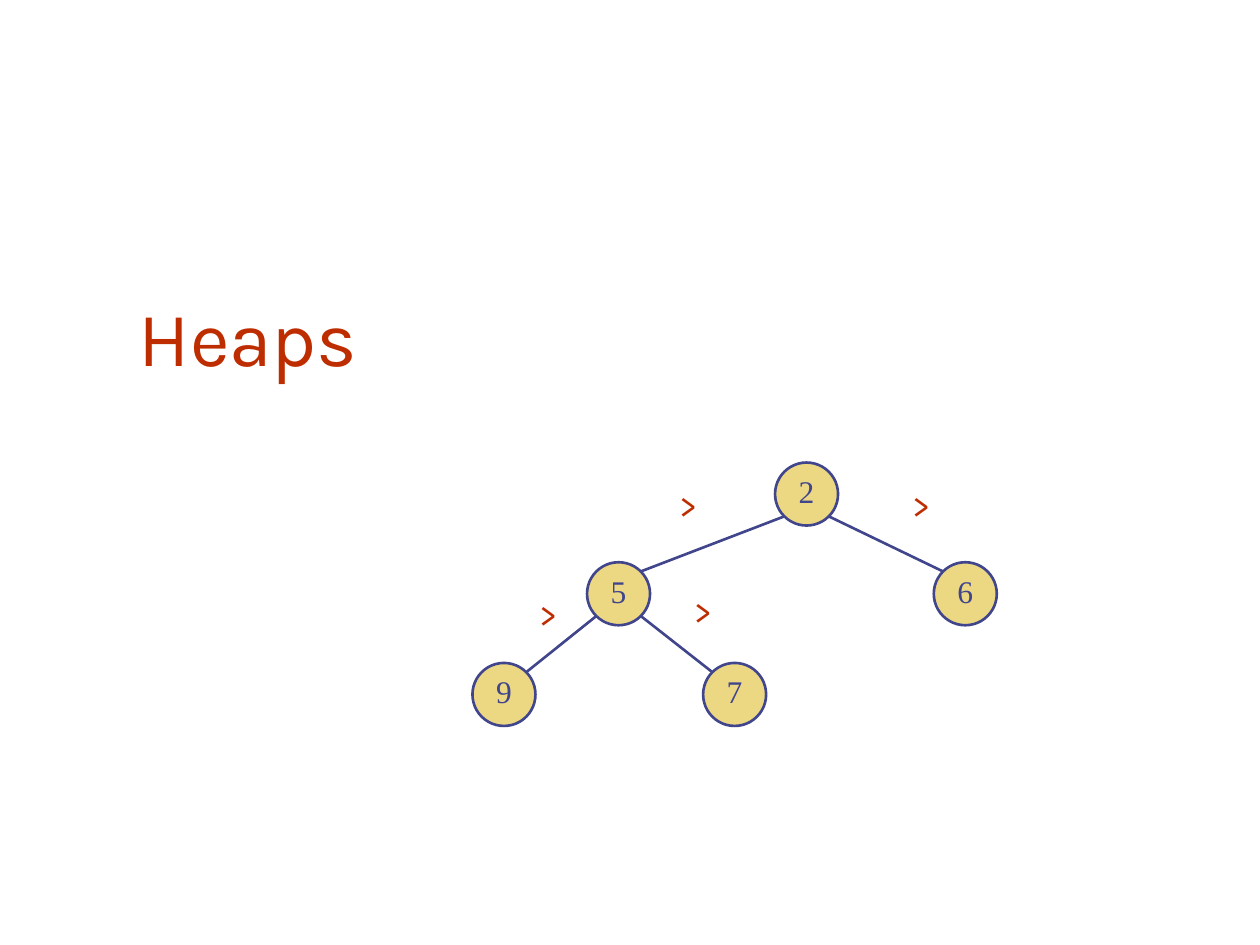
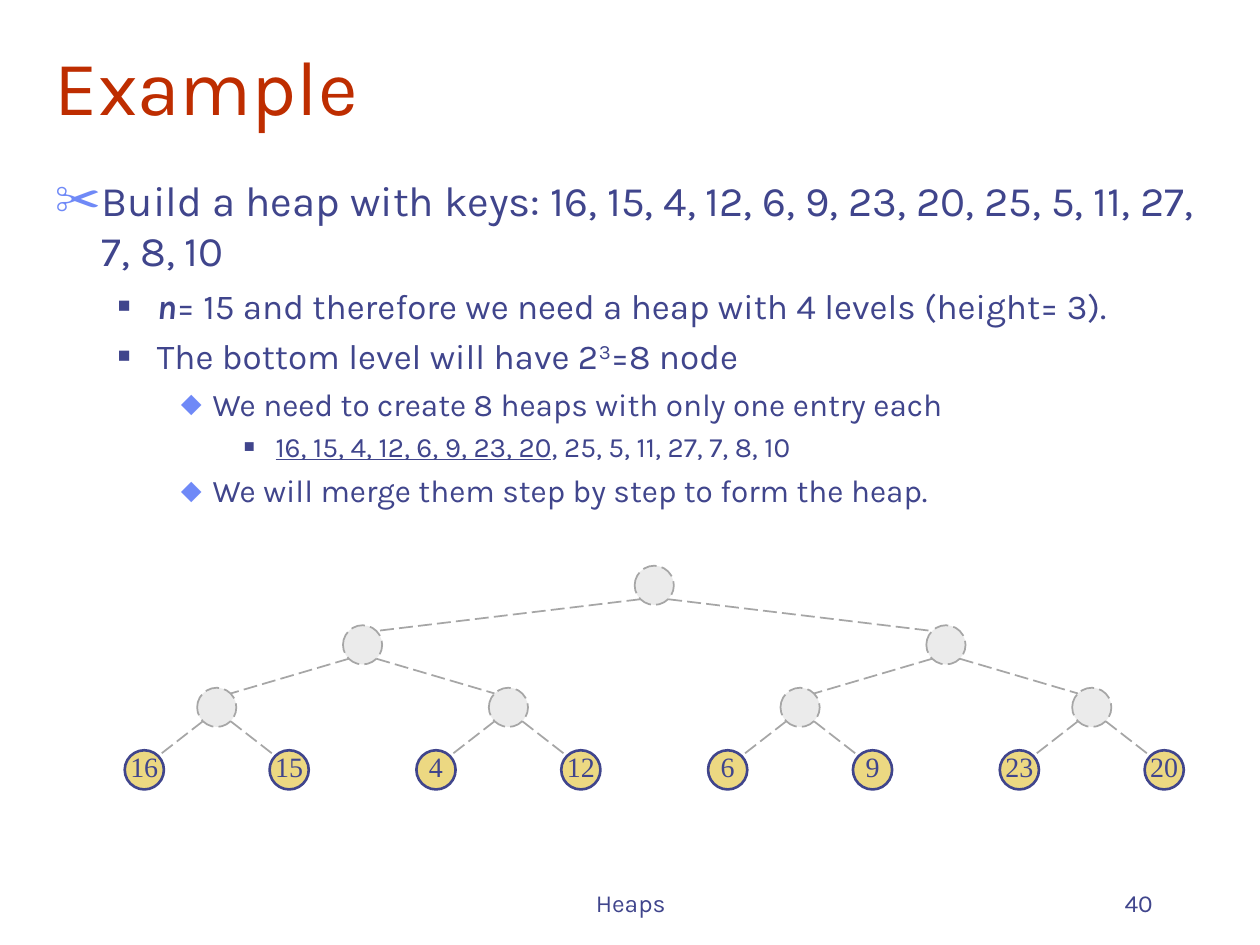
from lxml.etree import SubElement
from pptx import Presentation
from pptx.dml.color import RGBColor
from pptx.enum.dml import MSO_LINE
from pptx.enum.shapes import MSO_CONNECTOR as Connector, MSO_SHAPE as Shape
from pptx.enum.text import MSO_ANCHOR as Anchor, MSO_AUTO_SIZE as AutoSize, PP_ALIGN as Align
from pptx.oxml.ns import qn
from pptx.util import Cm, Pt

RED = RGBColor(0xBE, 0x2D, 0x00)
NAVY = RGBColor(0x40, 0x45, 0x8C)
BLUE = RGBColor(0x6F, 0x89, 0xF7)
GOLD = RGBColor(0xEC, 0xD8, 0x82)
PALE = RGBColor(0xD9, 0xD9, 0xD9)
GREY = RGBColor(0xA6, 0xA6, 0xA6)
SANS, SERIF = "Karla", "Times New Roman"

# Per list level: left margin and hang (cm), space before, bullet, colour, bullet %, text size
LEVELS = [
    (0.95, 0.95, 6, "✂", BLUE, 110, 24),
    (2.06, 0.79, 5, "■", NAVY, 60, 20),
    (3.18, 0.64, 4.5, "⬥", BLUE, 95, 18),
    (4.45, 0.64, 4, "■", NAVY, 65, 16),
]


class Deck:
    """Holds the shared style and the current page."""

    def __init__(self):
        self.deck = Presentation()
        self.deck.slide_width, self.deck.slide_height = Cm(25.4), Cm(19.05)
        self.page = None

    def new_page(self, layout, title, *place):
        self.page = self.deck.slides.add_slide(self.deck.slide_layouts[layout])
        box = self.page.shapes.title
        self.place(box, *place)
        frame = box.text_frame
        frame.auto_size, frame.vertical_anchor = AutoSize.NONE, Anchor.BOTTOM
        self.set_text(frame.paragraphs[0], title, 44, RED, Align.LEFT)

    def place(self, box, *place):
        box.left, box.top, box.width, box.height = map(Cm, place)

    def style(self, para, size, color, name=SANS):
        font = para.font
        font.name, font.size, font.color.rgb = name, Pt(size), color

    def set_text(self, para, text, size, color, align, name=SANS):
        para.text, para.alignment = text, align
        self.style(para, size, color, name)

    def label(self, text, place, size, color, align=Align.CENTER, anchor=Anchor.TOP):
        frame = self.page.shapes.add_textbox(*map(Cm, place)).text_frame
        frame.word_wrap, frame.vertical_anchor = True, anchor
        self.set_text(frame.paragraphs[0], text, size, color, align)

    def footer(self, text, number):
        self.label(text, (8.69, 17.35, 8.05, 1.27), 14, NAVY, anchor=Anchor.BOTTOM)
        self.label(number, (18.21, 17.35, 5.28, 1.27), 14, NAVY, Align.RIGHT, Anchor.BOTTOM)

    def bullets(self, items, *place):
        """Items are (level, spans); a span is (text, mark)."""
        box = self.page.placeholders[1]
        self.place(box, *place)
        frame = box.text_frame
        frame.auto_size = AutoSize.NONE
        for index, (level, spans) in enumerate(items):
            para = frame.add_paragraph() if index else frame.paragraphs[0]
            margin, hang, before, char, color, percent, size = LEVELS[level]
            para.level = level
            para.space_before = Pt(before if index else 0)
            props = para._p.get_or_add_pPr()
            props.set("marL", str(Cm(margin)))
            props.set("indent", str(-Cm(hang)))
            SubElement(SubElement(props, qn("a:buClr")), qn("a:srgbClr"), val=str(color))
            SubElement(props, qn("a:buSzPct"), val=str(percent * 1000))
            SubElement(props, qn("a:buChar"), char=char)
            self.style(para, size, NAVY)
            for text, mark in spans:
                span = para.add_run()
                span.text = text
                if mark == "variable":
                    span.font.bold = span.font.italic = True
                elif mark == "underline":
                    span.font.underline = True
                elif mark == "power":
                    span._r.get_or_add_rPr().set("baseline", "30000")

    def outline(self, line, pending):
        line.color.rgb = GREY if pending else NAVY
        line.width = Pt(1 if pending else 1.5)
        if pending:
            line.dash_style = MSO_LINE.LONG_DASH

    def node(self, x, y, key, diameter, size):
        """A node without a key is still pending: dashed and half transparent."""
        corner = Cm(x - diameter / 2), Cm(y - diameter / 2)
        circle = self.page.shapes.add_shape(Shape.OVAL, *corner, Cm(diameter), Cm(diameter))
        circle.shadow.inherit = False
        circle.fill.solid()
        circle.fill.fore_color.rgb = GOLD if key else PALE
        self.outline(circle.line, not key)
        if not key:
            color = circle._element.spPr.find(qn("a:solidFill"))[0]
            SubElement(color, qn("a:alpha"), val="51000")
            return
        frame = circle.text_frame
        frame.word_wrap, frame.vertical_anchor = False, Anchor.MIDDLE
        frame.margin_left = frame.margin_right = frame.margin_top = 0
        frame.margin_bottom = Cm(0.13)
        self.set_text(frame.paragraphs[0], key, size, NAVY, Align.CENTER, SERIF)

    def edge(self, start, end, pending):
        line = self.page.shapes.add_connector(Connector.STRAIGHT, *map(Cm, start + end))
        self.outline(line.line, pending)
        SubElement(line._element.spPr, qn("a:effectLst"))

    def tree(self, centres, keys, diameter, size):
        """Nodes in level order; edges join the circles at their 45° points."""
        reach = diameter / 2 * 0.71
        for child in range(1, len(centres)):
            parent = (child - 1) // 2
            (px, py), (cx, cy) = centres[parent], centres[child]
            side = reach if cx > px else -reach
            self.edge((px + side, py + reach), (cx - side, cy - reach), not keys[parent])
        for (x, y), key in zip(centres, keys):
            self.node(x, y, key, diameter, size)


def heap_levels():
    """Centres of a full four-level tree, each parent midway over its children."""
    pairs = [4.37 + 5.88 * index for index in range(4)]
    rows = [[x + side for x in pairs for side in (-1.46, 1.46)]]
    while len(rows[0]) > 1:
        row = rows[0]
        rows.insert(0, [(a + b) / 2 for a, b in zip(row[::2], row[1::2])])
    return [(x, y) for row, y in zip(rows, (11.8, 13, 14.26, 15.52)) for x in row]


def main():
    deck = Deck()

    # Title page with a small heap
    deck.new_page(5, "Heaps", 2.54, 4.65, 21.59, 3.18)
    small_heap = [(16.26, 9.96), (12.47, 11.97), (19.46, 11.97), (10.16, 14), (14.81, 14)]
    deck.tree(small_heap, ["2", "5", "6", "9", "7"], 1.27, 18)
    for left, top in [(12.93, 9.63), (17.63, 9.63), (10.11, 11.81), (13.23, 11.76)]:
        deck.label(">", (left, top, 1.88, 1.12), 20, RED)

    # Example: bottom level of the heap
    deck.new_page(1, "Example", 0.85, 0.42, 24.13, 2.34)
    deck.bullets([
        (0, [("Build a heap with keys: 16, 15, 4, 12, 6, 9, 23, 20, 25, 5, 11, 27, 7, 8, 10", "")]),
        (1, [("n", "variable"),
             ("= 15 and therefore we need a heap with 4 levels (height= 3).", "")]),
        (1, [("The bottom level will have 2", ""), ("3", "power"), ("=8 node", "")]),
        (2, [("We need to create 8 heaps with only one entry each", "")]),
        (3, [("16, 15, 4, 12, 6, 9, 23, 20", "underline"), (", 25, 5, 11, 27, 7, 8, 10", "")]),
        (2, [("We will merge them step by step to form the heap.", "")]),
    ], 0.85, 3.39, 24.13, 13.34)
    deck.footer("Heaps", "40")
    leaves = ["16", "15", "4", "12", "6", "9", "23", "20"]
    deck.tree(heap_levels(), [None] * 7 + leaves, 0.79, 16)

    deck.deck.save("out.pptx")


if __name__ == "__main__":
    main()
